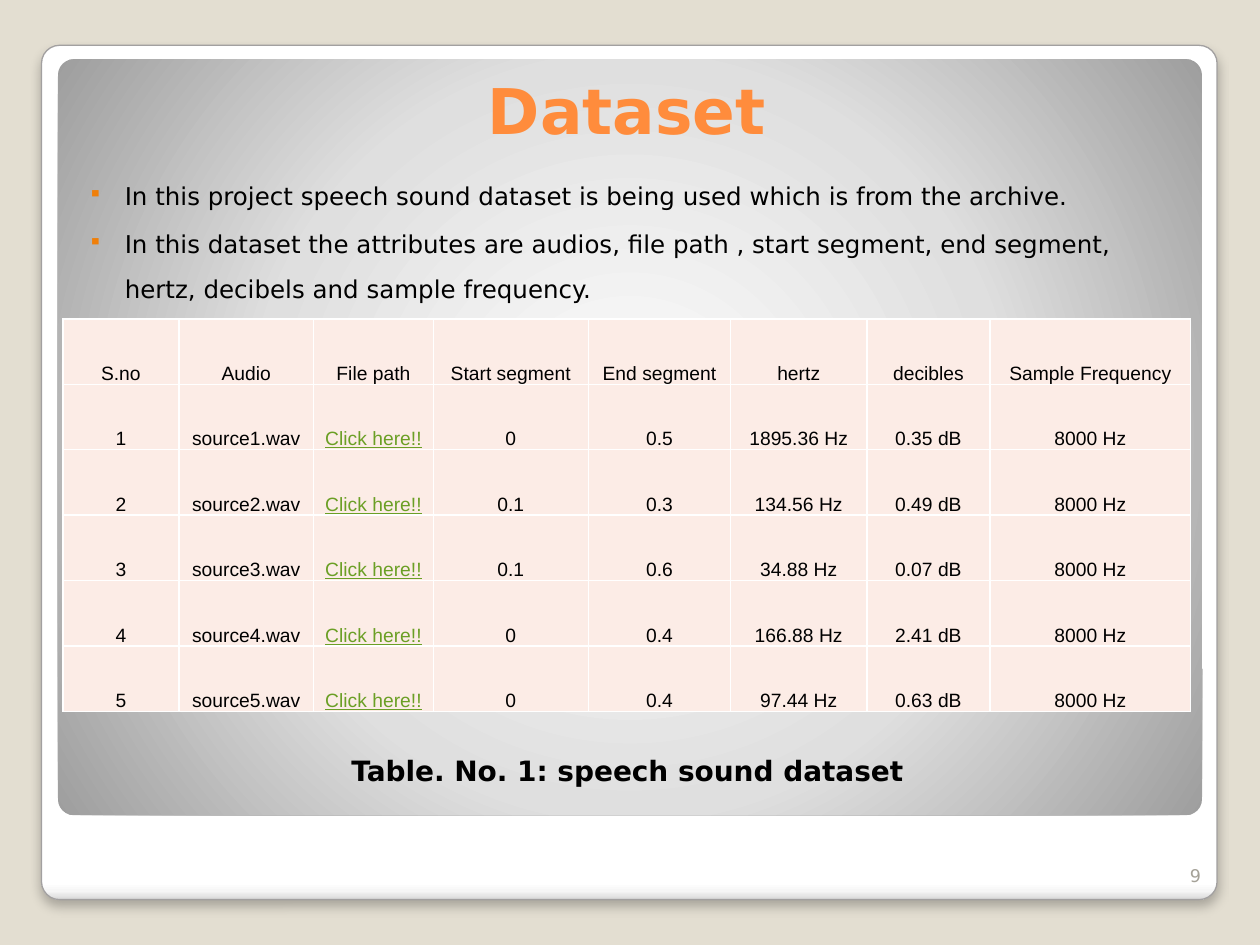
from dataclasses import dataclass
from lxml import etree
from pptx import Presentation, util as u
from pptx.dml.color import RGBColor
from pptx.enum import shapes, text
from pptx.oxml.ns import qn

COLS, ROWS = 20, 15
LEFT, MID, RIGHT = text.PP_ALIGN.LEFT, text.PP_ALIGN.CENTER, text.PP_ALIGN.RIGHT
TOP, LOW = text.MSO_ANCHOR.TOP, text.MSO_ANCHOR.BOTTOM


@dataclass(frozen=True)
class Theme:
    back: str = "E3DED1"
    title: str = "FF8C3C"
    ink: str = "000000"
    link: str = "6B9F25"
    mark: str = "F07F09"
    cell: str = "FCECE6"
    rule: str = "FFFFFF"
    edge: str = "A2A0A0"
    faint: str = "A5A298"
    font: str = "DejaVu Sans"
    grid: str = "Arial"
    head: float = 36
    note: float = 16
    body: float = 14
    small: float = 11
    foot: float = 10


def rgb(code):
    return RGBColor.from_string(code)


def add(base, tag, **attrs):
    """Append a drawing element to base and return it."""
    return etree.SubElement(base, qn(f"a:{tag}"),
                            {key: str(val) for key, val in attrs.items()})


class Deck:
    def __init__(self, theme):
        self.look = theme
        self.show = Presentation()
        self.show.slide_width, self.show.slide_height = u.Inches(10), u.Inches(7.5)
        self.page = self.show.slides.add_slide(self.show.slide_layouts[6])
        fill = self.page.background.fill
        fill.solid()
        fill.fore_color.rgb = rgb(theme.back)

    def across(self, cols):
        return round(self.show.slide_width * cols / COLS)

    def down(self, rows):
        return round(self.show.slide_height * rows / ROWS)

    def place(self, box):
        """Turn left, top, width, height in grid units into lengths."""
        x, y, w, h = box
        return self.across(x), self.down(y), self.across(w), self.down(h)

    def panel(self, box, stops, round_fill=False):
        """Rounded card with a gradient from the centre or from top to bottom."""
        card = self.page.shapes.add_shape(
            shapes.MSO_SHAPE.ROUNDED_RECTANGLE, *self.place(box))
        card.adjustments[0] = 0.021
        card.shadow.inherit = False
        card.line.fill.background()
        props = card.element.spPr
        grad = add(props, "gradFill", rotWithShape=1)
        marks = add(grad, "gsLst")
        for pos, code in stops:
            add(add(marks, "gs", pos=pos * 1000), "srgbClr", val=code)
        if round_fill:
            ring = add(grad, "path", path="circle")
            add(ring, "fillToRect", **dict.fromkeys("ltrb", 50000))
        else:
            add(grad, "lin", ang=5400000, scaled=0)
        props.find(qn("a:prstGeom")).addnext(grad)
        return card

    def raised(self, box, stops):
        """Panel with an outline and a soft shadow below it."""
        card = self.panel(box, stops)
        card.line.color.rgb = rgb(self.look.edge)
        card.line.width = u.Pt(0.75)
        drop = add(card.element.spPr.find(qn("a:effectLst")), "outerShdw",
                   blurRad=u.Pt(6).emu, dist=u.Pt(4).emu, dir=5400000,
                   algn="t", rotWithShape=0)
        add(add(drop, "srgbClr", val=self.look.ink), "alpha", val=25000)

    def run(self, para, words, size, color, font=None, bold=False, line=False):
        run = para.add_run()
        run.text = words
        face = run.font
        face.name, face.size = font or self.look.font, u.Pt(size)
        face.bold, face.underline = bold, line
        face.color.rgb = rgb(color)

    def frame(self, box, anchor=TOP, pad=(0.1, 0.05), wrap=True):
        area = self.page.shapes.add_textbox(*self.place(box)).text_frame
        area.word_wrap, area.vertical_anchor = wrap, anchor
        area.margin_left, area.margin_top = map(u.Inches, pad)
        return area

    def label(self, box, words, size, color, align, anchor=LOW, bold=False,
              wrap=True, space=None):
        para = self.frame(box, anchor, wrap=wrap).paragraphs[0]
        para.alignment, para.line_spacing = align, space
        self.run(para, words, size, color, bold=bold)

    def bullets(self, box, items):
        area = self.frame(box, pad=(0.2, 0.1))
        for i, words in enumerate(items):
            para = area.add_paragraph() if i else area.paragraphs[0]
            para.alignment, para.line_spacing = LEFT, 1.5
            para.space_before = u.Pt(2.5 if i else 0)
            props = para._p.get_or_add_pPr()
            props.set("marL", str(u.Inches(0.29)))
            props.set("indent", str(u.Inches(-0.29)))
            add(add(props, "buClr"), "srgbClr", val=self.look.mark)
            add(props, "buSzPct", val=80000)
            add(props, "buChar", char="▪")
            self.run(para, words, self.look.body, self.look.ink)

    def cell(self, cell, words, link):
        look = self.look
        cell.margin_left = cell.margin_right = cell.margin_top = u.Inches(0.01)
        cell.margin_bottom = 0
        cell.vertical_anchor = LOW
        props = cell._tc.get_or_add_tcPr()
        for side in "LRTB":
            line = add(props, f"ln{side}", w=u.Pt(1).emu)
            add(add(line, "solidFill"), "srgbClr", val=look.rule)
        cell.fill.solid()
        cell.fill.fore_color.rgb = rgb(look.cell)
        para = cell.text_frame.paragraphs[0]
        para.alignment = MID
        self.run(para, words, look.small, look.link if link else look.ink,
                 look.grid, line=link)

    def table(self, box, widths, rows, link):
        """Table whose column number link looks like links below the header."""
        grid = self.page.shapes.add_table(
            len(rows), len(widths), *self.place(box)).table
        for col, width in zip(grid.columns, widths):
            col.width = self.across(width)
        for r, row in enumerate(rows):
            for c, words in enumerate(row):
                self.cell(grid.cell(r, c), words, r > 0 and c == link)


HEADS = ["S.no", "Audio", "File path", "Start segment", "End segment",
         "hertz", "decibles", "Sample Frequency"]
SOUNDS = [("0", "0.5", "1895.36", "0.35"),
          ("0.1", "0.3", "134.56", "0.49"),
          ("0.1", "0.6", "34.88", "0.07"),
          ("0", "0.4", "166.88", "2.41"),
          ("0", "0.4", "97.44", "0.63")]
WIDTHS = [1.84, 2.14, 1.9, 2.46, 2.26, 2.16, 1.96, 3.18]
POINTS = [
    "In this project speech sound dataset is being used which is from the archive.",
    "In this dataset the attributes are audios, file path , start segment, "
    "end segment, hertz, decibels and sample frequency.",
]


def main():
    look = Theme()
    deck = Deck(look)
    deck.raised((0.66, 0.72, 18.66, 13.56),
                [(0, "FFFFFF"), (98, "FFFFFF"), (99, "F6F6F6"), (100, "D8D8D8")])
    deck.panel((0.92, 0.94, 18.16, 12),
               [(0, "FFFFFF"), (55, "DFDFDF"), (100, "9E9E9E")], round_fill=True)
    deck.label((1, 1, 17.9, 1.44), "Dataset", look.head, look.title, MID, bold=True)
    deck.bullets((1, 2.44, 17.9, 10.54), POINTS)
    rows = [HEADS] + [
        [str(n), f"source{n}.wav", "Click here!!", start, end,
         f"{pitch} Hz", f"{level} dB", "8000 Hz"]
        for n, (start, end, pitch, level) in enumerate(SOUNDS, 1)]
    deck.table((1, 5.06, 17.9, 6.24), WIDTHS, rows, HEADS.index("File path"))
    deck.label((5.34, 11.6, 9.24, 0.9), "Table. No. 1: speech sound dataset",
               look.note, look.ink, MID, TOP, bold=True, wrap=False, space=1.5)
    deck.label((18.26, 13.36, 1, 0.8), "9", look.foot, look.faint, RIGHT)
    deck.show.save("out.pptx")


if __name__ == "__main__":
    main()
